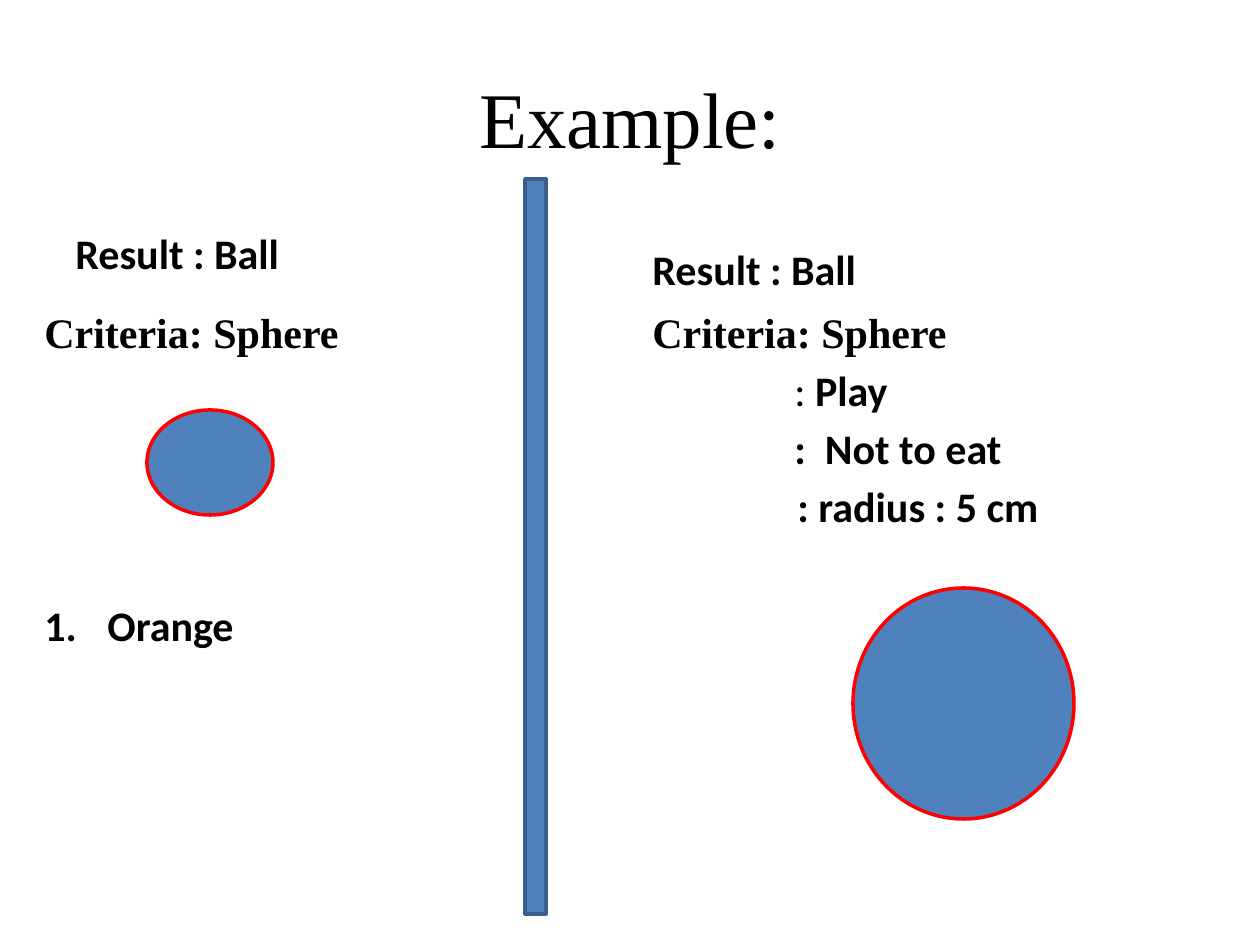
"""Build a slide that compares loose and precise criteria for a ball."""
from lxml import etree
from pptx import Presentation
from pptx.dml.color import RGBColor
from pptx.enum.shapes import MSO_SHAPE
from pptx.enum.text import MSO_ANCHOR, PP_ALIGN
from pptx.oxml.ns import qn
from pptx.util import Pt

OVAL, RECT = MSO_SHAPE.OVAL, MSO_SHAPE.RECTANGLE
TOP, MID, LOW = MSO_ANCHOR.TOP, MSO_ANCHOR.MIDDLE, MSO_ANCHOR.BOTTOM
LEFT, CENTER = PP_ALIGN.LEFT, PP_ALIGN.CENTER
SCALE = 914400 / 126
THEME = {
    "ink": RGBColor(0, 0, 0),
    "fill": RGBColor(0x4F, 0x81, 0xBD),
    "edge": RGBColor(0x3A, 0x5F, 0x8C),
    "red": RGBColor(0xFF, 0, 0),
    "serif": "Times New Roman",
    "sans": "Calibri",
    "title": 45,
    "body": 24,
    "gap": 4.4,
}


def emu(*sizes):
    """Turn px lengths into EMU."""
    return [round(size * SCALE) for size in sizes]


def write(box, anchor, paras, align=LEFT, size=THEME["body"]):
    """Add a text box; each paragraph is (space before, indent, runs)."""
    frame = slide.shapes.add_textbox(*emu(*box)).text_frame
    frame.word_wrap = True
    frame.vertical_anchor = anchor
    for i, (gap, indent, runs) in enumerate(paras):
        para = frame.paragraphs[0] if i == 0 else frame.add_paragraph()
        para.alignment = align
        para.space_before = Pt(gap)
        para._p.get_or_add_pPr().set("marL", str(emu(indent)[0]))
        for text, face, bold in runs:
            run = para.add_run()
            run.text = text
            run.font.name = THEME[face]
            run.font.size = Pt(size)
            run.font.bold = bold
            run.font.color.rgb = THEME["ink"]
    return frame


deck = Presentation()
deck.slide_width, deck.slide_height = emu(1260, 945)
slide = deck.slides.add_slide(deck.slide_layouts[6])
gap = THEME["gap"]

write((63, 38, 1134, 157), MID, [(0, 0, [("Example:", "serif", False)])],
      CENTER, THEME["title"])

result = (gap, 0, [("Result : Ball", "sans", True)])
for box in ((63, 212, 557, 72), (640, 212, 557, 88)):
    write(box, LOW, [result])

rule = (gap, 0, [("Criteria: Sphere", "serif", True)])
left = write((32, 300, 588, 544), TOP, [
    rule,
    (139, 63, [("Orange", "sans", True)]),
])
props = left.paragraphs[1]._p.get_or_add_pPr()
props.set("indent", str(emu(-63)[0]))
etree.SubElement(props, qn("a:buFont"), typeface="+mj-lt")
etree.SubElement(props, qn("a:buAutoNum"), type="arabicPeriod")

write((640, 300, 557, 544), TOP, [
    rule,
    (gap, 142, [(": ", "sans", False), ("Play", "sans", True)]),
    (gap, 142, [(":  Not to eat", "sans", True)]),
    (gap, 145, [(": radius : 5 cm", "sans", True)]),
])

for kind, box, edge in (
    (OVAL, (147, 410, 126, 105), "red"),
    (OVAL, (853, 588, 221, 231), "red"),
    (RECT, (525, 179, 21, 735), "edge"),
):
    shape = slide.shapes.add_shape(kind, *emu(*box))
    shape.shadow.inherit = False
    shape.fill.solid()
    shape.fill.fore_color.rgb = THEME["fill"]
    shape.line.color.rgb = THEME[edge]
    shape.line.width = Pt(2)

deck.save("out.pptx")
